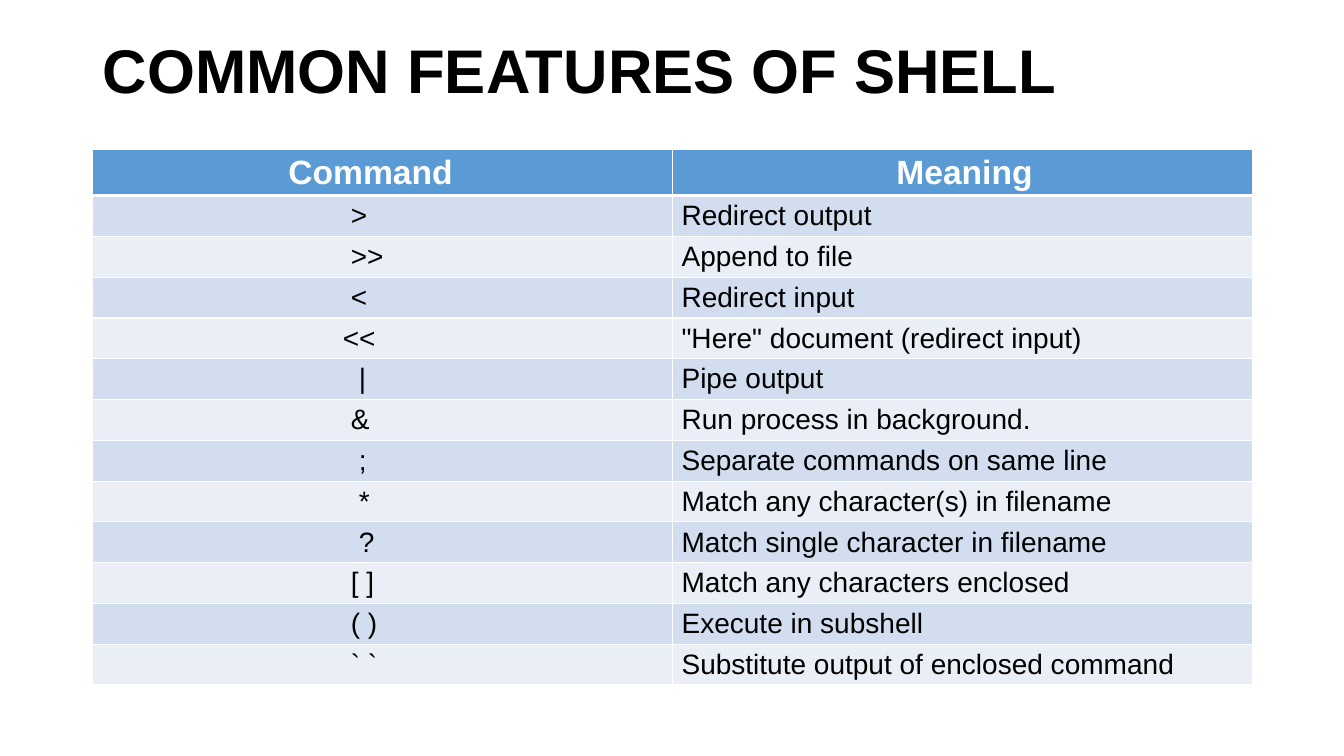
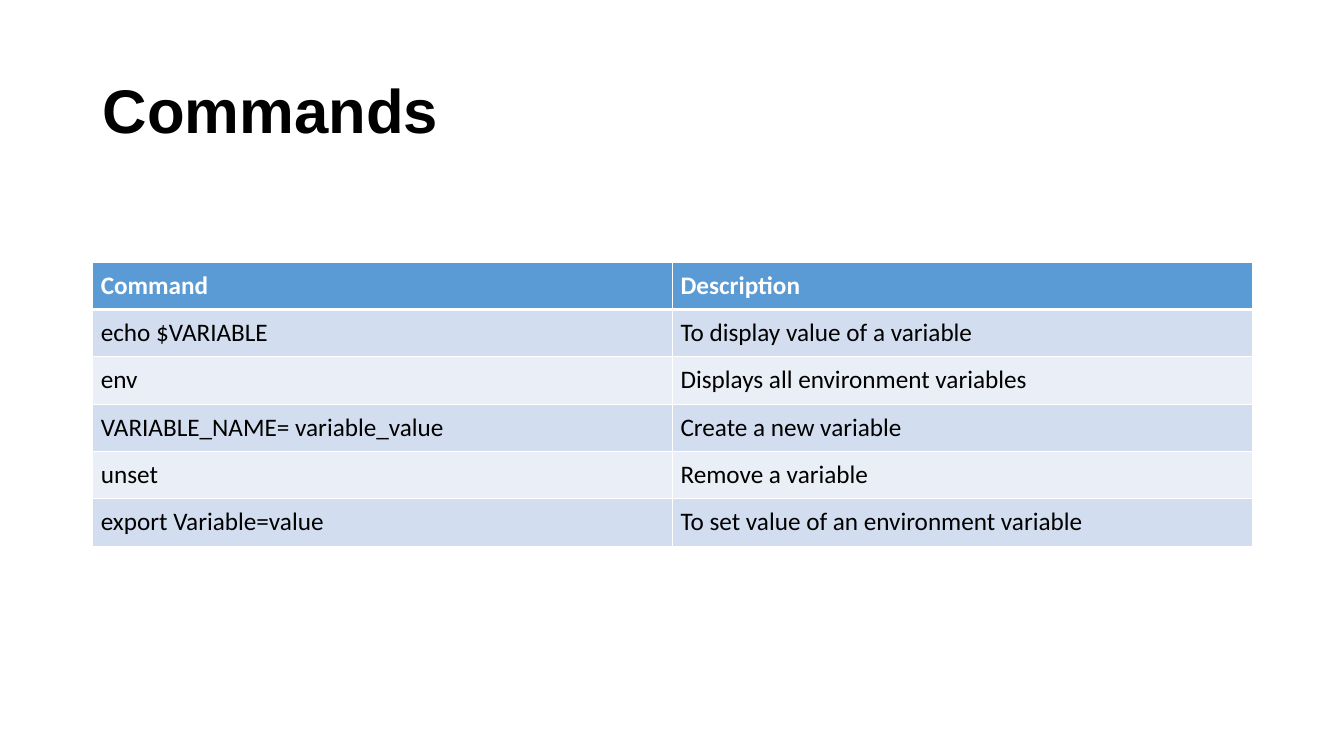
from pptx import Presentation, util as u
from pptx.dml.color import RGBColor
from pptx.enum import text
from pptx.oxml import parse_xml
from pptx.oxml.ns import nsdecls

WHITE = RGBColor(0xFF, 0xFF, 0xFF)
BLACK = RGBColor(0, 0, 0)
HEADER = RGBColor(0x5B, 0x9B, 0xD5)
BANDS = RGBColor(0xD2, 0xDE, 0xEF), RGBColor(0xEA, 0xEF, 0xF7)
LEFT, WIDTH = 0.92, 11.5
SYMBOL_INDENT, SPACE = 2.47, 0.08

FEATURES = [
    (">", "Redirect output", 0),
    (">>", "Append to file", 0),
    ("<", "Redirect input", 0),
    ("<<", '"Here" document (redirect input)', -1),
    ("|", "Pipe output", 1),
    ("&", "Run process in background.", 0),
    (";", "Separate commands on same line", 1),
    ("*", "Match any character(s) in filename", 1),
    ("?", "Match single character in filename", 1),
    ("[ ]", "Match any characters enclosed", 0),
    ("( )", "Execute in subshell", 0),
    ("` `", "Substitute output of enclosed command", 0),
]
COMMANDS = [
    ("Command", "Description"),
    ("echo $VARIABLE", "To display value of a variable"),
    ("env", "Displays all environment variables"),
    ("VARIABLE_NAME= variable_value", "Create a new variable"),
    ("unset", "Remove a variable"),
    ("export Variable=value", "To set value of an environment variable"),
]


def write(tf, words, size, font="Arial", color=BLACK, bold=False, spacing=None):
    """Write one left-aligned paragraph and return nothing."""
    p = tf.paragraphs[0]
    p.alignment = text.PP_ALIGN.LEFT
    p.line_spacing = spacing
    r = p.add_run()
    r.text = words
    r.font.size, r.font.name, r.font.bold = u.Pt(size), font, bold
    r.font.color.rgb = color


def add_slide(prs, title, height, anchor, top_margin=0.05):
    """Add a slide with its title in the shared title band."""
    s = prs.slides.add_slide(prs.slide_layouts[5])
    sp = s.shapes.title
    sp.left, sp.top, sp.width, sp.height = map(u.Inches, (LEFT, 0.4, WIDTH, height))
    tf = sp.text_frame
    tf.word_wrap, tf.auto_size = True, text.MSO_AUTO_SIZE.NONE
    tf.vertical_anchor, tf.margin_top = anchor, u.Inches(top_margin)
    write(tf, title, 44, bold=True, spacing=0.9)
    return s


def add_borders(cell, row):
    """Rule a cell in white, with a heavy line below the header."""
    widths = {"L": 1, "R": 1, "T": 3 if row == 1 else 1, "B": 3 if row == 0 else 1}
    for side, width in widths.items():
        cell._tc.get_or_add_tcPr().append(parse_xml(
            f'<a:ln{side} {nsdecls("a")} w="{u.Pt(width)}"><a:solidFill>'
            f'<a:srgbClr val="{WHITE}"/></a:solidFill></a:ln{side}>'))


def add_table(s, top, rows, heights, sizes, font, margins, anchor, indents=None):
    """Add a banded two-column table; heights and sizes are (header, body)."""
    total = heights[0] + heights[1] * (len(rows) - 1)
    table = s.shapes.add_table(len(rows), 2, *map(u.Inches, (LEFT, top, WIDTH, total))).table
    side, edge = margins
    for i, row in enumerate(rows):
        body = min(i, 1)
        table.rows[i].height = u.Inches(heights[body])
        for j, words in enumerate(row):
            cell = table.cell(i, j)
            add_borders(cell, i)
            cell.fill.solid()
            cell.fill.fore_color.rgb = BANDS[(i - 1) % 2] if body else HEADER
            indent = indents[i][j] if indents else 0
            cell.margin_left, cell.margin_right = u.Inches(side + indent), u.Inches(side)
            cell.margin_top = cell.margin_bottom = u.Inches(edge)
            cell.vertical_anchor = anchor
            write(cell.text_frame, words, sizes[body], font,
                  BLACK if body else WHITE, not body)


def features_slide(prs):
    """Build the slide of shell symbols and their meanings."""
    s = add_slide(prs, "COMMON FEATURES OF SHELL", 1.3, text.MSO_ANCHOR.TOP, 0)
    rows = [("Command", "Meaning")] + [f[:2] for f in FEATURES]
    indents = [(1.85, 2.13)] + [(SYMBOL_INDENT + SPACE * f[2], 0) for f in FEATURES]
    add_table(s, 1.48, rows, (0.46, 0.405), (24, 20), "Arial", (0.09, 0.04),
              text.MSO_ANCHOR.MIDDLE, indents)


def commands_slide(prs):
    """Build the slide of variable commands."""
    s = add_slide(prs, "Commands", 1.45, text.MSO_ANCHOR.MIDDLE)
    add_table(s, 2.6, COMMANDS, (0.47, 0.47), (18, 18), "Calibri", (0.08, 0.08),
              text.MSO_ANCHOR.TOP)


prs = Presentation()
prs.slide_width, prs.slide_height = u.Inches(13.33), u.Inches(7.5)
features_slide(prs)
commands_slide(prs)
prs.save("out.pptx")
